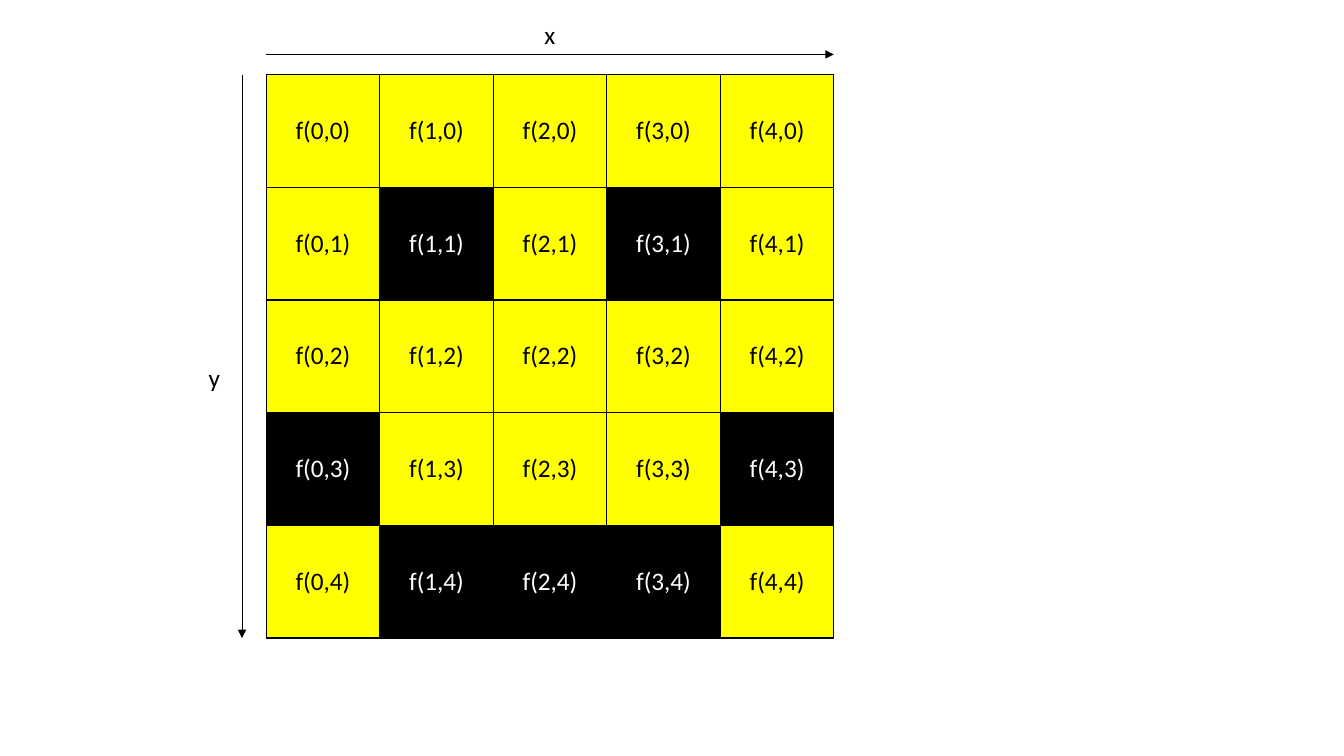
from pptx import Presentation
from pptx.dml.color import RGBColor
from pptx.enum.shapes import MSO_CONNECTOR as Connector
from pptx.enum.text import MSO_ANCHOR as Anchor, PP_ALIGN as Align
from pptx.oxml import parse_xml
from pptx.oxml.ns import nsdecls
from pptx.util import Inches, Pt

BLACK, WHITE, YELLOW = "000000", "FFFFFF", "FFFF00"
COLUMNS = ROWS = 5
LEFT, TOP = 2.64, 0.74
CELL_WIDTH, CELL_HEIGHT = 1.126, 1.118
RIGHT, BOTTOM = LEFT + COLUMNS * CELL_WIDTH, TOP + ROWS * CELL_HEIGHT
# Dark pixels (x, y): eyes, mouth corners, mouth
DARK_PIXELS = {(1, 1), (3, 1), (0, 3), (4, 3), (1, 4), (2, 4), (3, 4)}


def color(hex_string):
    return RGBColor.from_string(hex_string)


def write(paragraph, text, text_color):
    paragraph.text = text
    paragraph.font.name = "Calibri"
    paragraph.font.size = Pt(18)
    paragraph.font.color.rgb = color(text_color)


presentation = Presentation()
presentation.slide_width, presentation.slide_height = Inches(13.33), Inches(7.5)
slide = presentation.slides.add_slide(presentation.slide_layouts[6])

# Pixel grid
table = slide.shapes.add_table(
    ROWS, COLUMNS, Inches(LEFT), Inches(TOP),
    Inches(COLUMNS * CELL_WIDTH), Inches(ROWS * CELL_HEIGHT)).table
table.first_row = table.horz_banding = False
for column in table.columns:
    column.width = Inches(CELL_WIDTH)
for y, row in enumerate(table.rows):
    row.height = Inches(CELL_HEIGHT)
    for x, cell in enumerate(row.cells):
        dark = (x, y) in DARK_PIXELS
        # Borders come before the fill in the cell properties
        for side in ("lnL", "lnR", "lnT", "lnB"):
            cell._tc.get_or_add_tcPr().append(parse_xml(
                f'<a:{side} {nsdecls("a")} w="{Pt(1)}"><a:solidFill>'
                f'<a:srgbClr val="{BLACK}"/></a:solidFill></a:{side}>'))
        cell.fill.solid()
        cell.fill.fore_color.rgb = color(BLACK if dark else YELLOW)
        cell.vertical_anchor = Anchor.MIDDLE
        paragraph = cell.text_frame.paragraphs[0]
        paragraph.alignment = Align.CENTER
        write(paragraph, f"f({x},{y})", WHITE if dark else BLACK)

# Axes: name, arrow start and end, label corner
AXES = [
    ("x", (LEFT, TOP - 0.2), (RIGHT, TOP - 0.2), (5.3, 0.14)),
    ("y", (LEFT - 0.24, TOP), (LEFT - 0.24, BOTTOM), (1.97, 3.55)),
]
for name, start, end, corner in AXES:
    arrow = slide.shapes.add_connector(
        Connector.STRAIGHT, *map(Inches, start + end))
    arrow.line.color.rgb = color(BLACK)
    arrow.line.width = Pt(0.5)
    arrow.line._get_or_add_ln().append(
        parse_xml(f'<a:tailEnd {nsdecls("a")} type="triangle"/>'))
    arrow._element.spPr.append(parse_xml(f'<a:effectLst {nsdecls("a")}/>'))

    label = slide.shapes.add_textbox(*map(Inches, corner + (0.31, 0.4)))
    label.text_frame.word_wrap = name == "y"
    write(label.text_frame.paragraphs[0], name, BLACK)

presentation.save("out.pptx")
